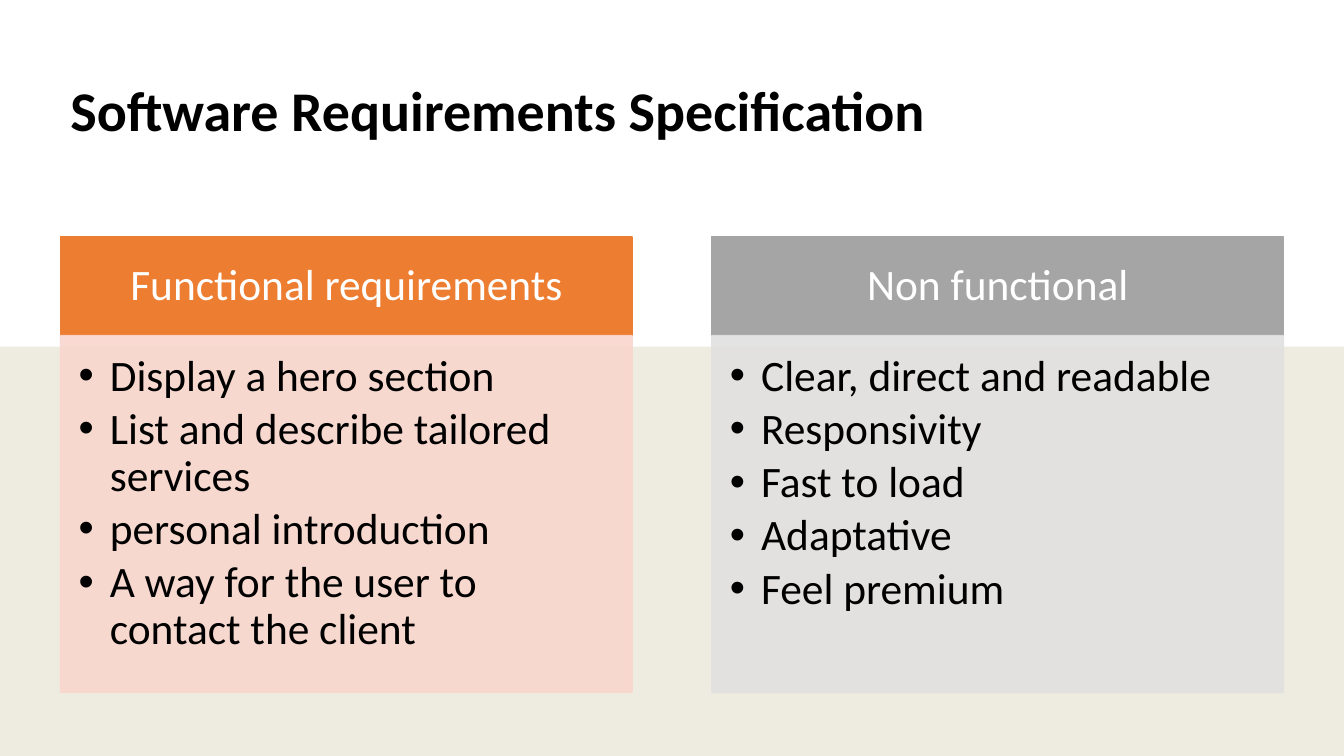
from lxml import etree
from pptx import Presentation
from pptx.dml.color import RGBColor
from pptx.enum.shapes import MSO_SHAPE
from pptx.enum.text import MSO_ANCHOR, PP_ALIGN
from pptx.oxml.ns import qn
from pptx.util import Inches, Pt

RECT = MSO_SHAPE.RECTANGLE
TOP, MID = MSO_ANCHOR.TOP, MSO_ANCHOR.MIDDLE
LEFT, CENTER = PP_ALIGN.LEFT, PP_ALIGN.CENTER
FONT = "Calibri"
WIDE, HIGH = 13.33, 7.5

TITLE = "Software Requirements Specification"
LAYERS = [("F2F2F2", 100, HIGH), ("BF9000", 7, HIGH), ("FFFFFF", 100, 3.44)]
CARDS = [
    ("Functional requirements", "ED7D31", "F8D7CE", [
        "Display a hero section",
        "List and describe tailored services",
        "personal introduction",
        "A way for the user to contact the client",
    ]),
    ("Non functional", "A5A5A5", "E1E1E1", [
        "Clear, direct and readable",
        "Responsivity",
        "Fast to load",
        "Adaptative",
        "Feel premium",
    ]),
]
EDGE, CARD, STEP = 0.6, 5.67, 6.46
HEAD_Y, HEAD_H, BODY_H = 2.35, 0.98, 3.54


def color(fill, code, alpha=100):
    fill.solid()
    fill.fore_color.rgb = RGBColor.from_string(code)
    if alpha < 100:
        for tint in fill._xPr.iter(qn("a:srgbClr")):
            etree.SubElement(tint, qn("a:alpha")).set("val", str(alpha * 1000))


def add_box(slide, x, y, w, h, code, alpha=100, edge=False):
    box = slide.shapes.add_shape(RECT, Inches(x), Inches(y), Inches(w), Inches(h))
    box.shadow.inherit = False
    color(box.fill, code, alpha)
    if edge:
        box.line.width = Pt(1)
        color(box.line.fill, code, alpha)
    else:
        box.line.fill.background()
    return box


def add_bullet(para):
    props = para._p.get_or_add_pPr()
    props.set("marL", str(Inches(0.31)))
    props.set("indent", str(-Inches(0.31)))
    etree.SubElement(props, qn("a:buFont")).set("typeface", "Arial")
    etree.SubElement(props, qn("a:buChar")).set("char", "•")


def write(box, lines, size, code, pads, anchor, align, bold=False, dots=False):
    frame = box.text_frame
    frame.word_wrap = True
    frame.vertical_anchor = anchor
    (frame.margin_left, frame.margin_top,
     frame.margin_right, frame.margin_bottom) = map(Inches, pads)
    frame.text = "\n".join(lines)
    for para in frame.paragraphs:
        para.alignment = align
        para.line_spacing = 0.9
        if dots:
            para.space_after = Pt(4.5)
            add_bullet(para)
        for run in para.runs:
            run.font.name = FONT
            run.font.size = Pt(size)
            run.font.bold = bold
            color(run.font.fill, code)


def main():
    deck = Presentation()
    deck.slide_width, deck.slide_height = Inches(WIDE), Inches(HIGH)
    slide = deck.slides.add_slide(deck.slide_layouts[6])

    for code, alpha, high in LAYERS:
        add_box(slide, 0, 0, WIDE, high, code, alpha)

    title = slide.shapes.add_textbox(
        Inches(EDGE), Inches(0.4), Inches(12.13), Inches(1.45))
    write(title, [TITLE], 40, "000000", (0.1, 0.05, 0.1, 0.05), MID, LEFT, bold=True)

    for i, (name, dark, pale, items) in enumerate(CARDS):
        x = EDGE + i * STEP
        head = add_box(slide, x, HEAD_Y, CARD, HEAD_H, dark, edge=True)
        write(head, [name], 31, "FFFFFF", (0.24, 0.14, 0.24, 0.14), MID, CENTER)
        body = add_box(slide, x, HEAD_Y + HEAD_H, CARD, BODY_H, pale, 90, edge=True)
        write(body, items, 31, "000000", (0.18, 0.18, 0.24, 0.27), TOP, LEFT, dots=True)

    deck.save("out.pptx")


if __name__ == "__main__":
    main()
